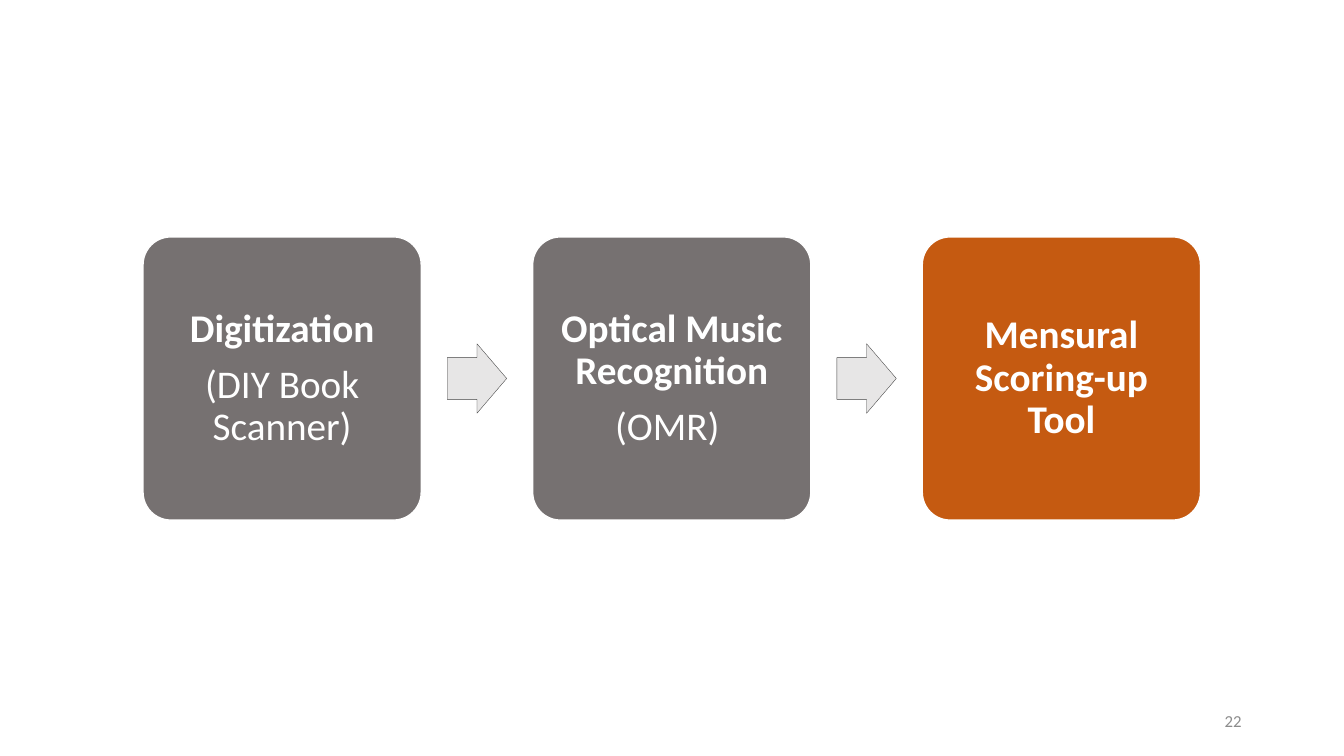
from pptx import Presentation
from pptx.dml.color import RGBColor
from pptx.enum import shapes, text
from pptx.util import Pt

GRAY = RGBColor(0x76, 0x71, 0x71)
ORANGE = RGBColor(0xC5, 0x5A, 0x11)
WHITE = RGBColor(0xFF, 0xFF, 0xFF)
ARROW_FILL = RGBColor(0xE7, 0xE6, 0xE6)
ARROW_LINE = RGBColor(0x40, 0x40, 0x40)
NUMBER_GRAY = RGBColor(0x8C, 0x8C, 0x8C)
FONT = "Calibri"

STEPS = [
    (GRAY, "Digitization", "(DIY Book Scanner)"),
    (GRAY, "Optical Music Recognition", "(OMR) "),
    (ORANGE, "Mensural Scoring-up Tool", None),
]
STEP_LEFT, STEP_TOP, STEP_W, STEP_H = 102.2, 169.2, 198.7, 202.3
PITCH = 278.3
ARROW_W, ARROW_H = 42.5, 49.7


def add_block(s, kind, left, top, width, height, fill, line, line_width):
    sp = s.shapes.add_shape(kind, Pt(left), Pt(top), Pt(width), Pt(height))
    sp.shadow.inherit = False
    sp.fill.solid()
    sp.fill.fore_color.rgb = fill
    sp.line.color.rgb = line
    sp.line.width = Pt(line_width)
    return sp


def style(p, size, color, align, bold=False):
    p.alignment = align
    p.font.name = FONT
    p.font.size = Pt(size)
    p.font.bold = bold
    p.font.color.rgb = color


def add_step(s, left, fill, title, detail):
    sp = add_block(s, shapes.MSO_SHAPE.ROUNDED_RECTANGLE, left, STEP_TOP,
                   STEP_W, STEP_H, fill, WHITE, 1)
    sp.adjustments[0] = 0.1
    tf = sp.text_frame
    tf.word_wrap = True
    tf.vertical_anchor = text.MSO_ANCHOR.MIDDLE
    tf.margin_left = tf.margin_right = Pt(8.6)
    tf.margin_top = tf.margin_bottom = Pt(8.6)
    tf.text = f"{title}\n{detail}" if detail else title
    for i, p in enumerate(tf.paragraphs):
        style(p, 28, WHITE, text.PP_ALIGN.CENTER, bold=i == 0)
        p.line_spacing = 0.9
        p.space_after = Pt(9.8)


def add_arrow(s, step_left):
    """Centre an arrow in the gap that follows a step."""
    left = step_left + (STEP_W + PITCH - ARROW_W) / 2
    top = STEP_TOP + (STEP_H - ARROW_H) / 2
    sp = add_block(s, shapes.MSO_SHAPE.RIGHT_ARROW, left, top,
                   ARROW_W, ARROW_H, ARROW_FILL, ARROW_LINE, 0.25)
    sp.adjustments[0] = 0.6
    sp.adjustments[1] = 0.5


def add_slide_number(s, number):
    sp = s.shapes.add_textbox(Pt(678), Pt(500.5), Pt(216), Pt(28.75))
    tf = sp.text_frame
    tf.word_wrap = True
    tf.vertical_anchor = text.MSO_ANCHOR.MIDDLE
    tf.text = number
    style(tf.paragraphs[0], 12, NUMBER_GRAY, text.PP_ALIGN.RIGHT)


def main():
    prs = Presentation()
    prs.slide_width, prs.slide_height = Pt(960), Pt(540)
    s = prs.slides.add_slide(prs.slide_layouts[6])
    for i, (fill, title, detail) in enumerate(STEPS):
        left = STEP_LEFT + i * PITCH
        add_step(s, left, fill, title, detail)
        if i < len(STEPS) - 1:
            add_arrow(s, left)
    add_slide_number(s, "22")
    prs.save("out.pptx")


if __name__ == "__main__":
    main()
